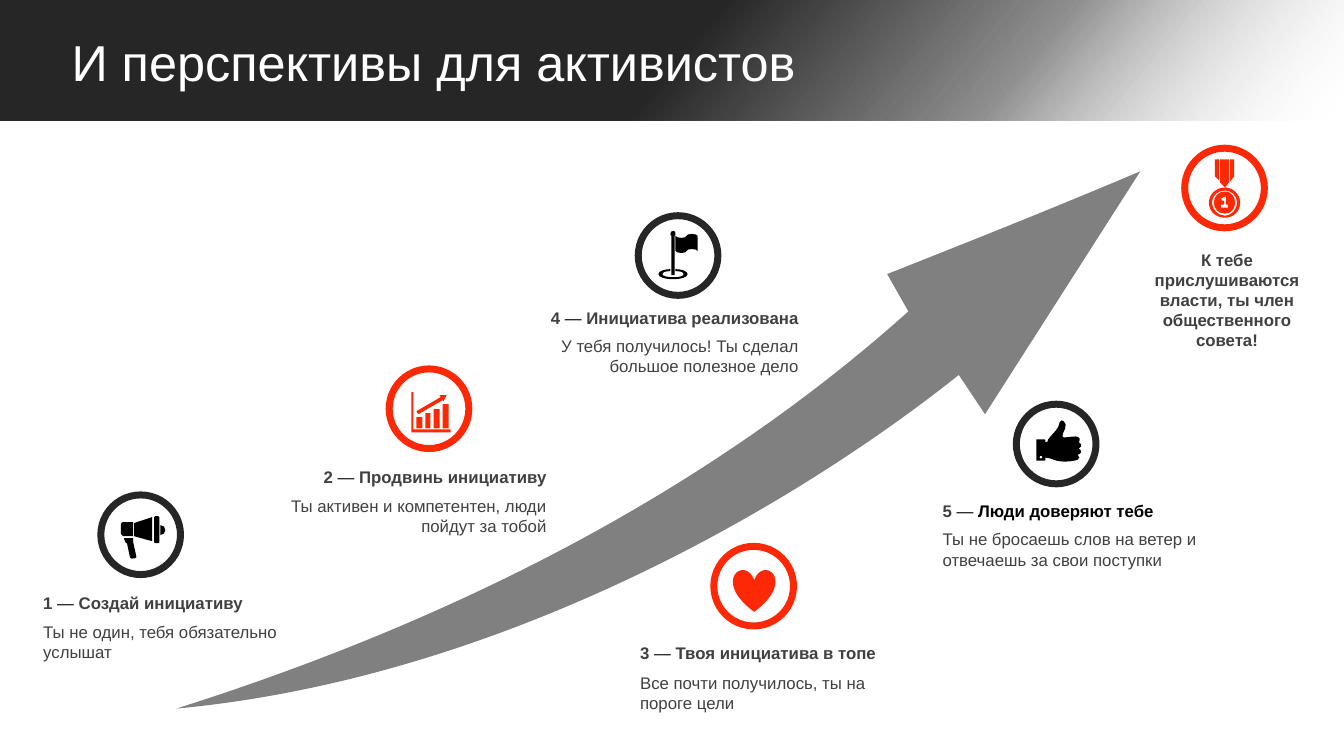
import dataclasses
import typing

import lxml.etree
import pptx
import pptx.dml.color
import pptx.enum.shapes
import pptx.enum.text
import pptx.oxml.ns
import pptx.util

Inches = pptx.util.Inches
qn = pptx.oxml.ns.qn
SHAPE = pptx.enum.shapes.MSO_SHAPE
ALIGN = pptx.enum.text.PP_ALIGN
ANCHOR = pptx.enum.text.MSO_ANCHOR

COLORS = {"white": "FFFFFF", "dark": "262626", "red": "FD2906",
          "gray": "808080", "text": "404040", "black": "000000"}
ICON_COLORS = {"dark": "black", "red": "red"}
BADGE_SIZE = 0.79

# Outlines in slide inches: M move, L line, C cubic curve, Z close
GROWTH_ARROW = (
    "M 8.8 2.72 C 9.68 2.37 10.34 2.11 11.31 1.7 L 9.77 4.11 L 9.51 3.72 "
    "C 8.02 4.91 5.07 6.72 1.75 7.03 C 5.54 5.83 7.76 4.21 9.01 3.09 L 8.8 2.72 Z")
MEGAPHONE = (
    "M 1.32 5.34 L 1.32 5.35 C 1.32 5.36 1.32 5.37 1.32 5.37 L 1.35 5.51 "
    "C 1.36 5.52 1.35 5.54 1.34 5.54 L 1.32 5.54 C 1.31 5.55 1.3 5.54 1.29 5.53 "
    "L 1.26 5.39 C 1.25 5.39 1.24 5.38 1.24 5.37 L 1.23 5.34 Z "
    "M 1.59 5.21 C 1.62 5.21 1.64 5.23 1.64 5.26 C 1.64 5.28 1.62 5.31 1.59 5.31 "
    "C 1.59 5.27 1.59 5.24 1.59 5.21 Z "
    "M 1.22 5.18 L 1.32 5.18 L 1.32 5.32 L 1.22 5.32 C 1.21 5.32 1.2 5.31 1.2 5.3 "
    "L 1.2 5.2 C 1.2 5.19 1.21 5.18 1.22 5.18 Z "
    "M 1.51 5.13 L 1.51 5.37 L 1.33 5.32 L 1.33 5.19 Z "
    "M 1.54 5.12 L 1.57 5.12 C 1.57 5.12 1.58 5.12 1.58 5.13 L 1.58 5.38 "
    "C 1.58 5.39 1.57 5.39 1.57 5.39 L 1.54 5.39 C 1.53 5.39 1.53 5.39 1.53 5.38 "
    "L 1.53 5.13 C 1.53 5.12 1.53 5.12 1.54 5.12 Z")
GROWTH_BARS = (
    "M 4.13 4.14 L 4.19 4.14 L 4.19 4.25 L 4.13 4.25 Z "
    "M 4.22 4.1 L 4.27 4.1 L 4.27 4.25 L 4.22 4.25 Z "
    "M 4.3 4.06 L 4.36 4.06 L 4.36 4.25 L 4.3 4.25 Z "
    "M 4.39 4.01 L 4.45 4.01 L 4.45 4.25 L 4.39 4.25 Z "
    "M 4.36 3.92 L 4.43 3.92 L 4.4 3.98 L 4.39 3.97 L 4.15 4.11 L 4.13 4.08 L 4.37 3.94 Z "
    "M 4.08 3.89 L 4.1 3.89 L 4.1 4.26 L 4.47 4.26 L 4.47 4.29 L 4.08 4.29 Z")
FLAG = (
    "M 6.65 2.67 L 6.65 2.69 C 6.6 2.69 6.57 2.7 6.57 2.72 C 6.57 2.74 6.62 2.75 6.68 2.75 "
    "C 6.74 2.75 6.78 2.74 6.78 2.72 C 6.78 2.7 6.75 2.69 6.7 2.69 L 6.7 2.67 "
    "C 6.76 2.67 6.82 2.69 6.82 2.72 C 6.82 2.75 6.75 2.77 6.68 2.77 "
    "C 6.6 2.77 6.53 2.75 6.53 2.72 C 6.53 2.69 6.59 2.67 6.65 2.67 Z "
    "M 6.86 2.32 C 6.89 2.32 6.92 2.33 6.92 2.34 L 6.92 2.49 C 6.92 2.48 6.89 2.47 6.86 2.47 "
    "C 6.83 2.47 6.81 2.48 6.81 2.49 C 6.81 2.5 6.79 2.51 6.76 2.51 "
    "C 6.73 2.51 6.7 2.5 6.7 2.49 L 6.7 2.34 C 6.7 2.35 6.73 2.36 6.76 2.36 "
    "C 6.79 2.36 6.81 2.35 6.81 2.34 C 6.81 2.33 6.83 2.32 6.86 2.32 Z "
    "M 6.68 2.29 C 6.69 2.29 6.7 2.3 6.7 2.32 C 6.7 2.33 6.7 2.34 6.69 2.34 L 6.69 2.73 "
    "L 6.66 2.73 L 6.66 2.34 C 6.65 2.34 6.65 2.33 6.65 2.32 C 6.65 2.3 6.66 2.29 6.68 2.29 Z")
THUMB_UP = (
    "M 10.32 4.52 C 10.32 4.52 10.31 4.53 10.31 4.54 C 10.31 4.54 10.32 4.55 10.32 4.55 "
    "C 10.33 4.55 10.34 4.54 10.34 4.54 C 10.34 4.53 10.33 4.52 10.32 4.52 Z "
    "M 10.53 4.17 C 10.54 4.17 10.56 4.18 10.57 4.21 C 10.58 4.26 10.5 4.34 10.56 4.34 "
    "C 10.6 4.34 10.62 4.33 10.67 4.33 C 10.71 4.33 10.72 4.36 10.7 4.39 "
    "C 10.72 4.39 10.74 4.43 10.7 4.45 C 10.74 4.47 10.72 4.51 10.69 4.51 "
    "C 10.71 4.53 10.71 4.55 10.69 4.56 C 10.64 4.58 10.52 4.59 10.45 4.56 "
    "C 10.42 4.55 10.4 4.54 10.37 4.54 L 10.37 4.56 C 10.37 4.57 10.37 4.57 10.36 4.57 "
    "L 10.28 4.57 L 10.28 4.36 L 10.36 4.36 C 10.37 4.36 10.37 4.37 10.37 4.38 "
    "L 10.37 4.39 C 10.38 4.39 10.38 4.39 10.39 4.38 C 10.39 4.37 10.4 4.35 10.42 4.33 "
    "C 10.45 4.29 10.5 4.26 10.51 4.19 C 10.52 4.17 10.52 4.17 10.53 4.17 Z")
MEDAL = (
    "M 12.16 1.95 L 12.15 1.95 L 12.11 1.97 L 12.12 1.99 L 12.14 1.99 L 12.14 2.03 "
    "L 12.11 2.03 L 12.11 2.06 L 12.18 2.06 L 12.18 2.03 L 12.16 2.03 Z "
    "M 12.15 1.9 C 12.21 1.9 12.25 1.95 12.25 2.01 C 12.25 2.07 12.21 2.12 12.15 2.12 "
    "C 12.08 2.12 12.04 2.07 12.04 2.01 C 12.04 1.95 12.08 1.9 12.15 1.9 Z "
    "M 12.15 1.89 C 12.08 1.89 12.02 1.94 12.02 2.01 C 12.02 2.08 12.08 2.14 12.15 2.14 "
    "C 12.21 2.14 12.27 2.08 12.27 2.01 C 12.27 1.94 12.21 1.89 12.15 1.89 Z "
    "M 12.15 1.86 C 12.23 1.86 12.3 1.93 12.3 2.01 C 12.3 2.1 12.23 2.16 12.15 2.16 "
    "C 12.06 2.16 11.99 2.1 11.99 2.01 C 11.99 1.93 12.06 1.86 12.15 1.86 Z "
    "M 12.2 1.58 L 12.24 1.58 L 12.24 1.75 L 12.2 1.8 Z "
    "M 12.1 1.58 L 12.19 1.58 L 12.19 1.81 L 12.15 1.86 L 12.1 1.81 Z "
    "M 12.05 1.58 L 12.09 1.58 L 12.09 1.79 L 12.05 1.75 Z")


class Words(typing.NamedTuple):
    text: str
    color: str = "text"
    bold: bool = False


class Badge(typing.NamedTuple):
    left: float
    top: float
    ring: str
    icon: typing.Optional[str]  # None stands for the heart


@dataclasses.dataclass
class Step:
    badge: Badge
    left: float
    top: float
    width: float
    heading: str
    detail: str
    align: ALIGN = ALIGN.LEFT
    detail_drop: float = 0.29
    heading_color: str = "text"


STEPS = [
    Step(Badge(1, 4.91, "dark", MEGAPHONE), 0.33, 5.83, 2.79,
         "Создай инициативу", "Ты не один, тебя обязательно услышат"),
    Step(Badge(3.86, 3.66, "red", GROWTH_BARS), 2.75, 4.58, 2.77,
         "Продвинь инициативу", "Ты активен и компетентен, люди пойдут за тобой", ALIGN.RIGHT),
    Step(Badge(7.08, 5.42, "red", None), 6.25, 6.33, 2.79,
         "Твоя инициатива в топе", "Все почти получилось, ты на пороге цели"),
    Step(Badge(6.33, 2.14, "dark", FLAG), 5.25, 3, 2.77, "Инициатива реализована",
         "У тебя получилось! Ты сделал большое полезное дело", ALIGN.RIGHT, 0.28),
    Step(Badge(10.08, 4.01, "dark", THUMB_UP), 9.25, 4.92, 2.92, "Люди доверяют тебе",
         "Ты не бросаешь слов на ветер и отвечаешь за свои поступки", ALIGN.LEFT, 0.28, "black"),
]


def rgb(color: str) -> pptx.dml.color.RGBColor:
    return pptx.dml.color.RGBColor.from_string(COLORS[color])


def paint(shape, fill: str) -> None:
    shape.shadow.inherit = False
    shape.fill.solid()
    shape.fill.fore_color.rgb = rgb(fill)
    shape.line.fill.background()


def write(paragraph, words: typing.Sequence[Words], size: float = 12) -> None:
    for part in words:
        run = paragraph.add_run()
        run.text = part.text
        run.font.color.rgb = rgb(part.color)
        style = {"name": "Arial", "size": pptx.util.Pt(size), "bold": part.bold}
        for key, value in style.items():
            setattr(run.font, key, value)


def add_caption(shapes, box: typing.Sequence[float], words: typing.Sequence[Words],
                align: ALIGN, anchor: ANCHOR = ANCHOR.MIDDLE) -> None:
    frame = shapes.add_textbox(*map(Inches, box)).text_frame
    layout = {"word_wrap": True, "vertical_anchor": anchor,
              "auto_size": pptx.enum.text.MSO_AUTO_SIZE.SHAPE_TO_FIT_TEXT}
    for key, value in layout.items():
        setattr(frame, key, value)
    frame.paragraphs[0].alignment = align
    write(frame.paragraphs[0], words)


def contour_points(contour: str) -> list:
    numbers = [Inches(float(n)) for n in contour.split() if n not in "MLC"]
    return list(zip(numbers[::2], numbers[1::2]))


def add_outline(shapes, outline: str, fill: str) -> None:
    contours = [contour_points(c) for c in outline.split("Z") if c.strip()]
    builder = shapes.build_freeform(*contours[0][0], scale=1.0)
    for index, points in enumerate(contours):
        if index:
            builder.move_to(*points[0])
        builder.add_line_segments(points[1:], close=True)
    drawn = builder.convert_to_shape()
    # Join each curve's three points into one cubic segment
    segments = iter(list(drawn.element.iter(qn("a:lnTo"))))
    for command in (c for c in outline if c in "LC"):
        segment = next(segments)
        if command == "C":
            segment.tag = qn("a:cubicBezTo")
            for extra in (next(segments), next(segments)):
                segment.append(extra[0])
                extra.getparent().remove(extra)
    paint(drawn, fill)


def add_badge(shapes, badge: Badge) -> None:
    ring = shapes.add_shape(SHAPE.OVAL, *map(Inches, (badge.left, badge.top, BADGE_SIZE, BADGE_SIZE)))
    paint(ring, "white")
    ring.line.color.rgb = rgb(badge.ring)
    ring.line.width = pptx.util.Pt(5)
    if badge.icon:
        add_outline(shapes, badge.icon, ICON_COLORS[badge.ring])
    else:
        heart = shapes.add_shape(
            SHAPE.HEART, *map(Inches, (badge.left + 0.19, badge.top + 0.23, 0.42, 0.42)))
        paint(heart, ICON_COLORS[badge.ring])


def add_header(slide) -> None:
    title = slide.shapes.title
    place = {"left": 0.61, "top": 0.25, "width": 12.4, "height": 0.79}
    for key, value in place.items():
        setattr(title, key, Inches(value))
    title.text_frame.vertical_anchor = ANCHOR.MIDDLE
    heading = title.text_frame.paragraphs[0]
    spacing = {"alignment": ALIGN.LEFT, "line_spacing": 0.9, "space_before": pptx.util.Pt(10)}
    for key, value in spacing.items():
        setattr(heading, key, value)
    write(heading, [Words("И перспективы для активистов", "white")], 36)

    # Dark band fading out to the right, behind the title
    band = slide.shapes.add_shape(SHAPE.RECTANGLE, 0, 0, Inches(13.33), Inches(1.2))
    paint(band, "dark")
    band.fill.gradient()
    band.fill.gradient_angle = 140
    stops = band.element.find(".//" + qn("a:gsLst"))
    for stop in list(stops):
        stops.remove(stop)
    for position, color, opacity in ((0, "white", 0), (25, "dark", 50), (50, "dark", 100), (100, "dark", 100)):
        stop = lxml.etree.SubElement(stops, qn("a:gs"), pos=str(position * 1000))
        shade = lxml.etree.SubElement(stop, qn("a:srgbClr"), val=COLORS[color])
        lxml.etree.SubElement(shade, qn("a:alpha"), val=str(opacity * 1000))
    title.element.addprevious(band.element)


def main() -> None:
    deck = pptx.Presentation()
    deck.slide_width, deck.slide_height = Inches(13.33), Inches(7.5)
    slide = deck.slides.add_slide(deck.slide_layouts[5])
    add_header(slide)
    add_outline(slide.shapes, GROWTH_ARROW, "gray")

    # Numbered steps along the arrow
    for number, step in enumerate(STEPS, 1):
        add_badge(slide.shapes, step.badge)
        captions = slide.shapes.add_group_shape().shapes
        heading = [Words(f"{number} ", bold=True), Words("— ", "black"),
                   Words(step.heading, step.heading_color, True)]
        add_caption(captions, (step.left, step.top, step.width, 0.3), heading, step.align)
        add_caption(captions, (step.left, step.top + step.detail_drop, step.width, 0.5),
                    [Words(step.detail)], step.align, ANCHOR.TOP)

    # Final reward
    add_badge(slide.shapes, Badge(11.75, 1.47, "red", MEDAL))
    reward = "К тебе прислушиваются власти, ты член общественного совета!"
    add_caption(slide.shapes, (11.17, 2.42, 2, 1.11), [Words(reward, bold=True)], ALIGN.CENTER)
    deck.save("out.pptx")


if __name__ == "__main__":
    main()
